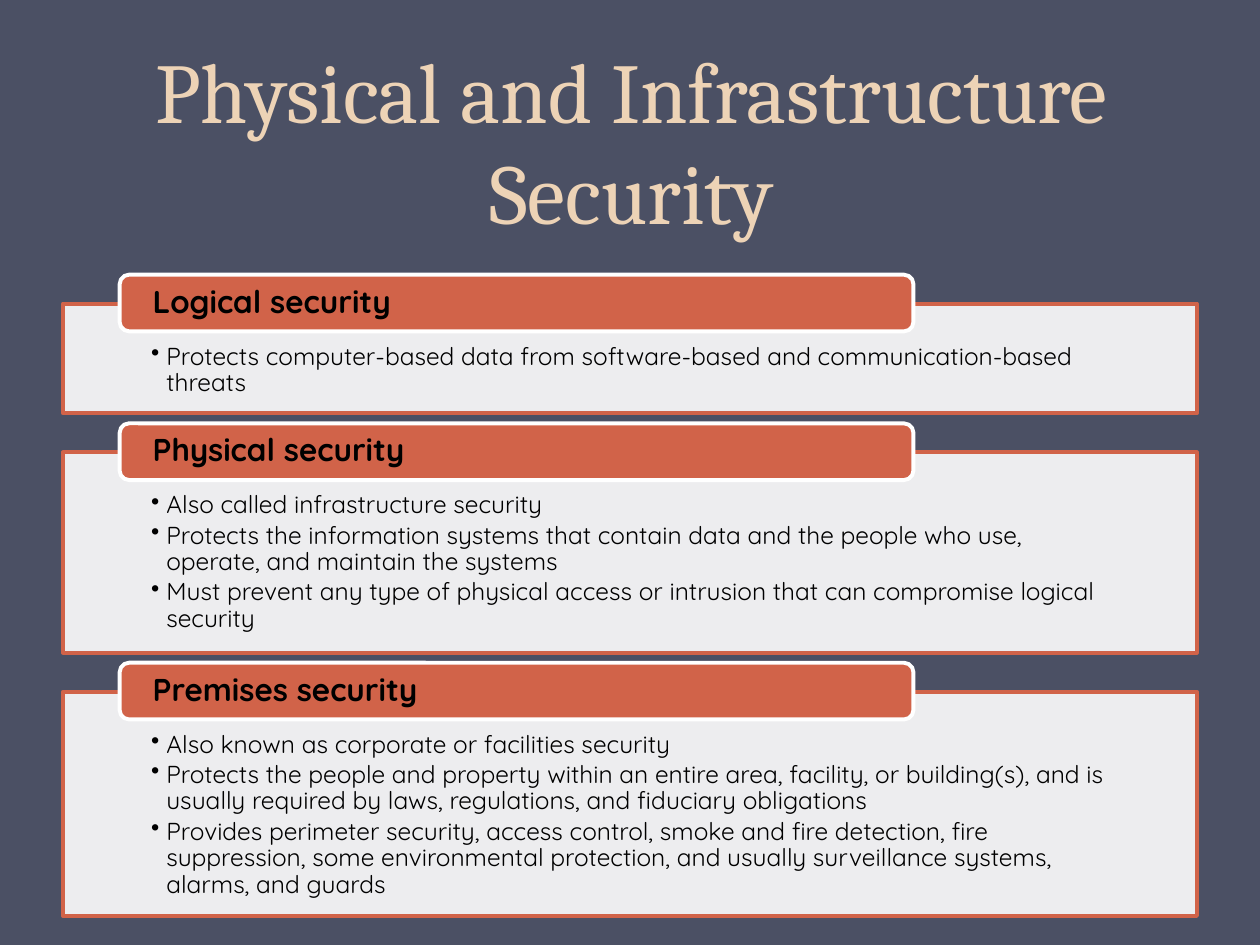
from lxml import etree
from pptx import Presentation
from pptx import util as u
from pptx.dml.color import RGBColor
from pptx.enum import shapes, text
from pptx.oxml.ns import qn

BACKGROUND, TITLE, ACCENT, WHITE, BLACK = "4B5064", "EDD3B6", "D16349", "FFFFFF", "000000"
PANEL_LEFT, PANEL_WIDTH, FIRST_TOP, PANEL_GAP = 0.5, 9, 2.41, 0.31
TAB_LEFT, TAB_WIDTH, TAB_HEIGHT, TAB_RISE = 0.95, 6.3, 0.45, 0.23

# Heading, panel height, bullets
SECTIONS = [
    ("Logical security", 0.87, [
        "Protects computer-based data from software-based and communication-based threats",
    ]),
    ("Physical security", 1.59, [
        "Also called infrastructure security",
        "Protects the information systems that contain data and the people who use, "
        "operate, and maintain the systems",
        "Must prevent any type of physical access or intrusion that can compromise "
        "logical security",
    ]),
    ("Premises security", 1.78, [
        "Also known as corporate or facilities security",
        "Protects the people and property within an entire area, facility, or building(s), "
        "and is usually required by laws, regulations, and fiduciary obligations",
        "Provides perimeter security, access control, smoke and fire detection, fire "
        "suppression, some environmental protection, and usually surveillance systems, "
        "alarms, and guards",
    ]),
]


def color(hex_string):
    return RGBColor.from_string(hex_string)


def add_run(paragraph, words, font, size, hex_string, bold=False):
    run = paragraph.add_run()
    run.text = words
    run.font.name = font
    run.font.size = u.Pt(size)
    run.font.bold = bold
    run.font.color.rgb = color(hex_string)


def add_box(slide, kind, bounds, fill, line, insets, anchor):
    shape = slide.shapes.add_shape(kind, *(u.Inches(value) for value in bounds))
    shape.shadow.inherit = False
    shape.fill.solid()
    shape.fill.fore_color.rgb = color(fill)
    shape.line.color.rgb = color(line)
    shape.line.width = u.Pt(2.25)
    frame = shape.text_frame
    frame.word_wrap = True
    frame.vertical_anchor = anchor
    (frame.margin_left, frame.margin_top,
     frame.margin_right, frame.margin_bottom) = (u.Inches(value) for value in insets)
    return shape


def set_opacity(shape, percent):
    rgb = shape.fill._xPr.find(qn("a:solidFill"))[0]
    etree.SubElement(rgb, qn("a:alpha"), val=str(percent * 1000))


def add_bullet(paragraph, indent):
    properties = paragraph._p.get_or_add_pPr()
    properties.set("marL", str(u.Inches(indent)))
    properties.set("indent", str(-u.Inches(indent)))
    etree.SubElement(properties, qn("a:buChar"), char="•")


def add_title(slide, words):
    title = slide.shapes.title
    title.left, title.top = u.Inches(0.51), u.Inches(0.36)
    title.width, title.height = u.Inches(9), u.Inches(1.61)
    frame = title.text_frame
    frame.word_wrap = True
    frame.auto_size = text.MSO_AUTO_SIZE.NONE
    frame.vertical_anchor = text.MSO_ANCHOR.BOTTOM
    paragraph = frame.paragraphs[0]
    paragraph.alignment = text.PP_ALIGN.CENTER
    paragraph.line_spacing = u.Pt(58)
    add_run(paragraph, words, "Cambria", 48.6, TITLE)


def add_panel(slide, top, height, bullets):
    panel = add_box(slide, shapes.MSO_SHAPE.RECTANGLE,
                    (PANEL_LEFT, top, PANEL_WIDTH, height), WHITE, ACCENT,
                    (0.7, 0.32, 0.7, 0.11), text.MSO_ANCHOR.TOP)
    set_opacity(panel, 90)
    frame = panel.text_frame
    for index, words in enumerate(bullets):
        paragraph = frame.add_paragraph() if index else frame.paragraphs[0]
        add_bullet(paragraph, 0.12)
        paragraph.alignment = text.PP_ALIGN.LEFT
        paragraph.line_spacing = 0.9
        paragraph.space_after = u.Pt(2.1)
        add_run(paragraph, words, "Quicksand", 14, BLACK)


def add_heading_tab(slide, top, words):
    tab = add_box(slide, shapes.MSO_SHAPE.ROUNDED_RECTANGLE,
                  (TAB_LEFT, top, TAB_WIDTH, TAB_HEIGHT), ACCENT, WHITE,
                  (0.24, 0, 0.24, 0), text.MSO_ANCHOR.MIDDLE)
    paragraph = tab.text_frame.paragraphs[0]
    paragraph.alignment = text.PP_ALIGN.LEFT
    paragraph.line_spacing = 0.9
    add_run(paragraph, words, "Quicksand", 18, BLACK, bold=True)


def main():
    presentation = Presentation()
    presentation.slide_width, presentation.slide_height = u.Inches(10), u.Inches(7.5)
    slide = presentation.slides.add_slide(presentation.slide_layouts[5])
    slide.background.fill.solid()
    slide.background.fill.fore_color.rgb = color(BACKGROUND)

    add_title(slide, "Physical and Infrastructure Security")

    # Panels stacked with equal gaps, each with a heading over its top edge
    top = FIRST_TOP
    for heading, height, bullets in SECTIONS:
        add_panel(slide, top, height, bullets)
        add_heading_tab(slide, top - TAB_RISE, heading)
        top += height + PANEL_GAP

    presentation.save("out.pptx")


if __name__ == "__main__":
    main()
